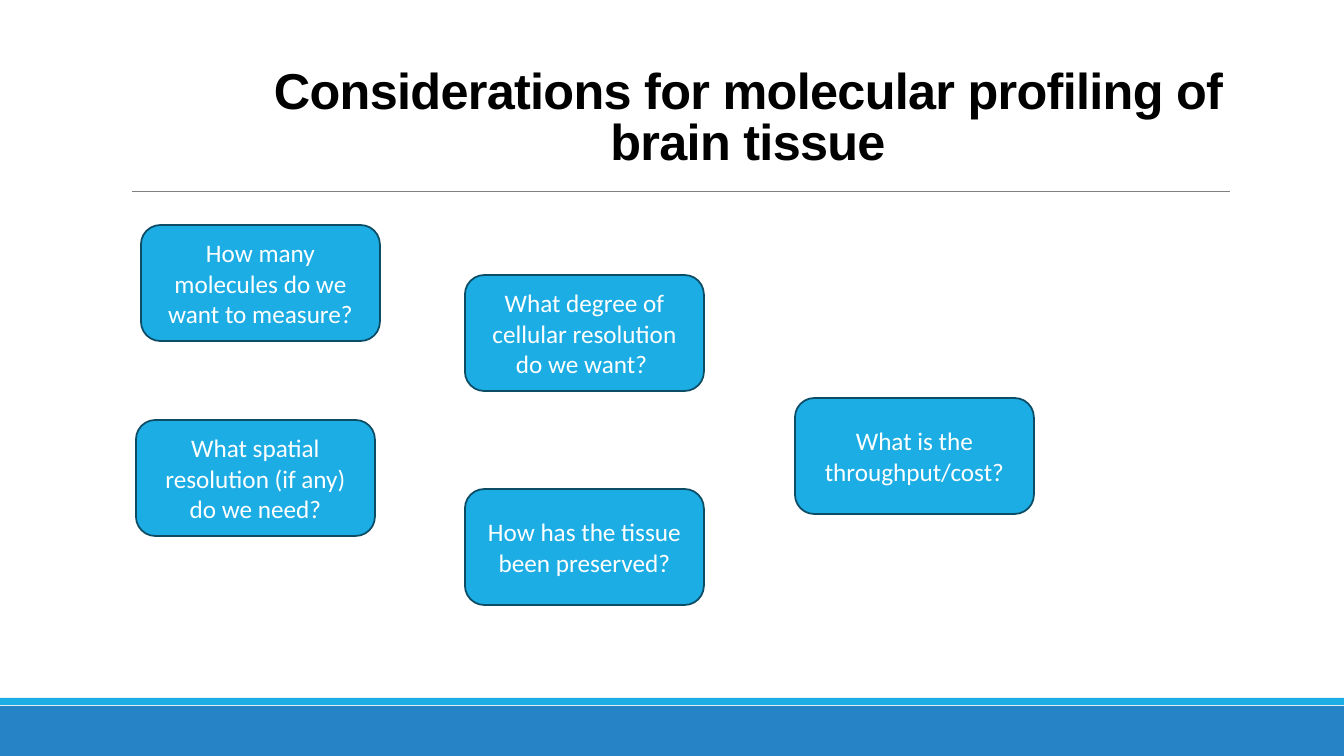
import dataclasses

import pptx
import pptx.dml.color
import pptx.enum.shapes
import pptx.enum.text
import pptx.oxml
import pptx.oxml.ns
import pptx.util

SHAPE = pptx.enum.shapes.MSO_SHAPE
ANCHOR = pptx.enum.text.MSO_ANCHOR


@dataclasses.dataclass(frozen=True)
class Theme:
    band: str = "2683C6"
    accent: str = "1CADE4"
    edge: str = "0C4C64"
    rule: str = "808080"
    dark: str = "000000"
    light: str = "FFFFFF"
    head: str = "Arial"
    body: str = "Calibri"
    title: int = 36
    label: int = 18


def px(count):
    return pptx.util.Emu(round(count * 914400 / 100.8))


def color(code):
    return pptx.dml.color.RGBColor.from_string(code)


class Deck:
    """Draws themed elements on the current slide."""

    def __init__(self, theme):
        self.theme = theme
        self.file = pptx.Presentation()
        self.file.slide_width, self.file.slide_height = px(1344), px(756)
        self.slide = self.file.slides.add_slide(self.file.slide_layouts[6])

    def label(self, shape, text, font, size, ink, anchor):
        frame = shape.text_frame
        frame.word_wrap = True
        frame.vertical_anchor = anchor
        line = frame.paragraphs[0]
        line.alignment = pptx.enum.text.PP_ALIGN.CENTER
        run = line.add_run()
        run.text = text
        run.font.name = font
        run.font.size = pptx.util.Pt(size)
        run.font.color.rgb = color(ink)
        return line, run

    def block(self, kind, area, fill):
        shape = self.slide.shapes.add_shape(kind, *map(px, area))
        shape.shadow.inherit = False
        shape.fill.solid()
        shape.fill.fore_color.rgb = color(fill)
        shape.line.fill.background()
        return shape

    def rule(self, left, right, top):
        line = self.slide.shapes.add_connector(
            pptx.enum.shapes.MSO_CONNECTOR.STRAIGHT,
            px(left), px(top), px(right), px(top))
        line.line.color.rgb = color(self.theme.rule)
        line.line.width = pptx.util.Pt(0.5)
        props = line._element.spPr
        props.append(pptx.oxml.parse_xml(
            "<a:effectLst %s/>" % pptx.oxml.ns.nsdecls("a")))

    def title(self, area, text):
        look = self.theme
        box = self.slide.shapes.add_textbox(*map(px, area))
        line, run = self.label(
            box, text, look.head, look.title, look.dark, ANCHOR.BOTTOM)
        line.line_spacing = 0.85
        run.font.bold = True
        run._r.get_or_add_rPr().set("spc", "-50")

    def card(self, left, top, text):
        look = self.theme
        shape = self.block(
            SHAPE.ROUNDED_RECTANGLE, (left, top, 239, 116), look.accent)
        shape.line.color.rgb = color(look.edge)
        shape.line.width = pptx.util.Pt(1.25)
        self.label(
            shape, text, look.body, look.label, look.light, ANCHOR.MIDDLE)


def main():
    theme = Theme()
    deck = Deck(theme)
    deck.block(SHAPE.RECTANGLE, (0, 706, 1344, 50), theme.band)
    deck.block(SHAPE.RECTANGLE, (0, 698, 1344, 7), theme.accent)
    deck.rule(132, 1230, 191)
    deck.title((219, 1, 1058, 175),
               "Considerations for molecular profiling of brain tissue")
    cards = (
        (141, 225, "How many molecules do we want to measure?"),
        (136, 420, "What spatial resolution (if any) do we need?"),
        (465, 275, "What degree of cellular resolution do we want? "),
        (465, 489, "How has the tissue been preserved?"),
        (795, 398, "What is the throughput/cost?"),
    )
    for left, top, text in cards:
        deck.card(left, top, text)
    deck.file.save("out.pptx")


if __name__ == "__main__":
    main()
